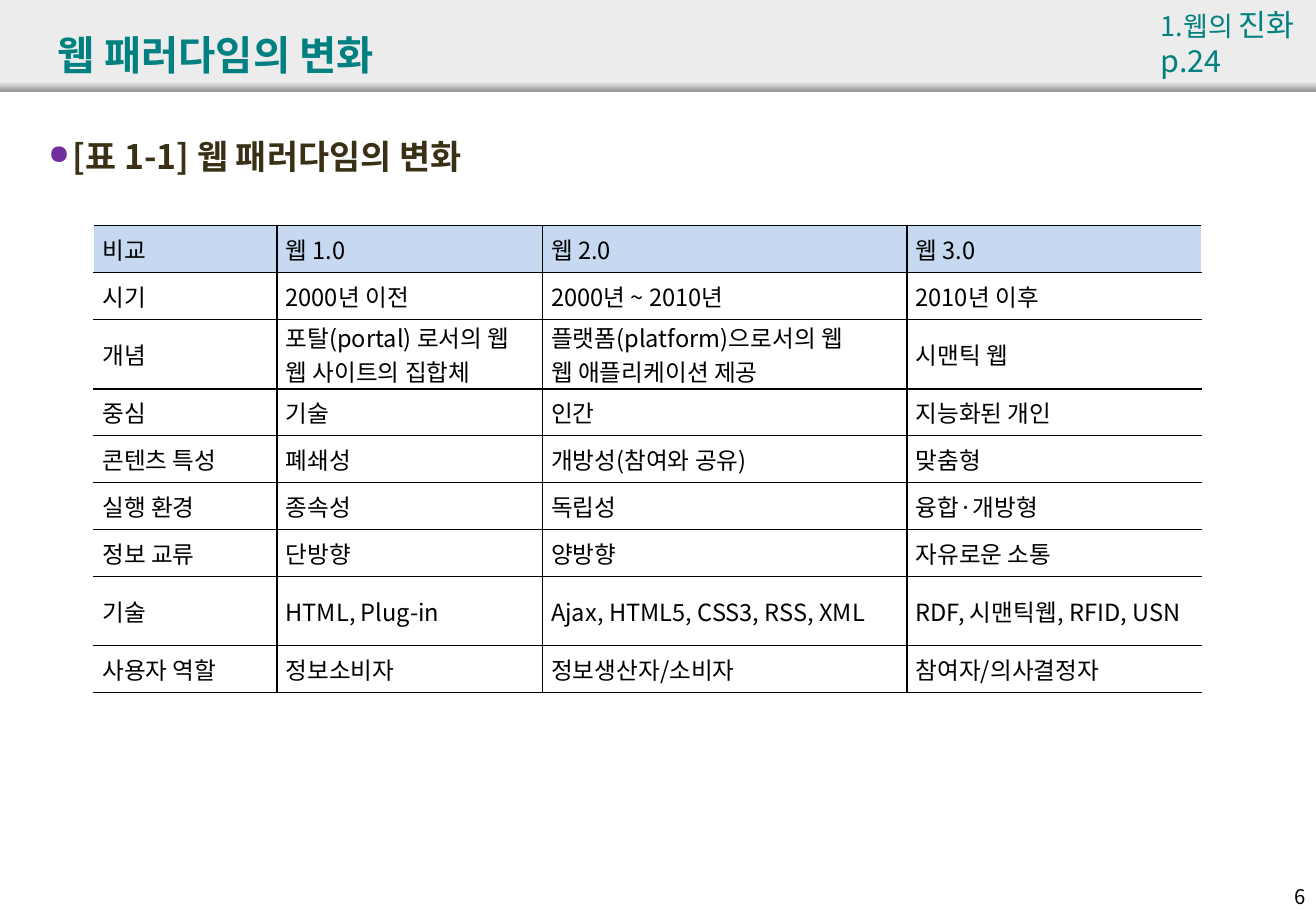
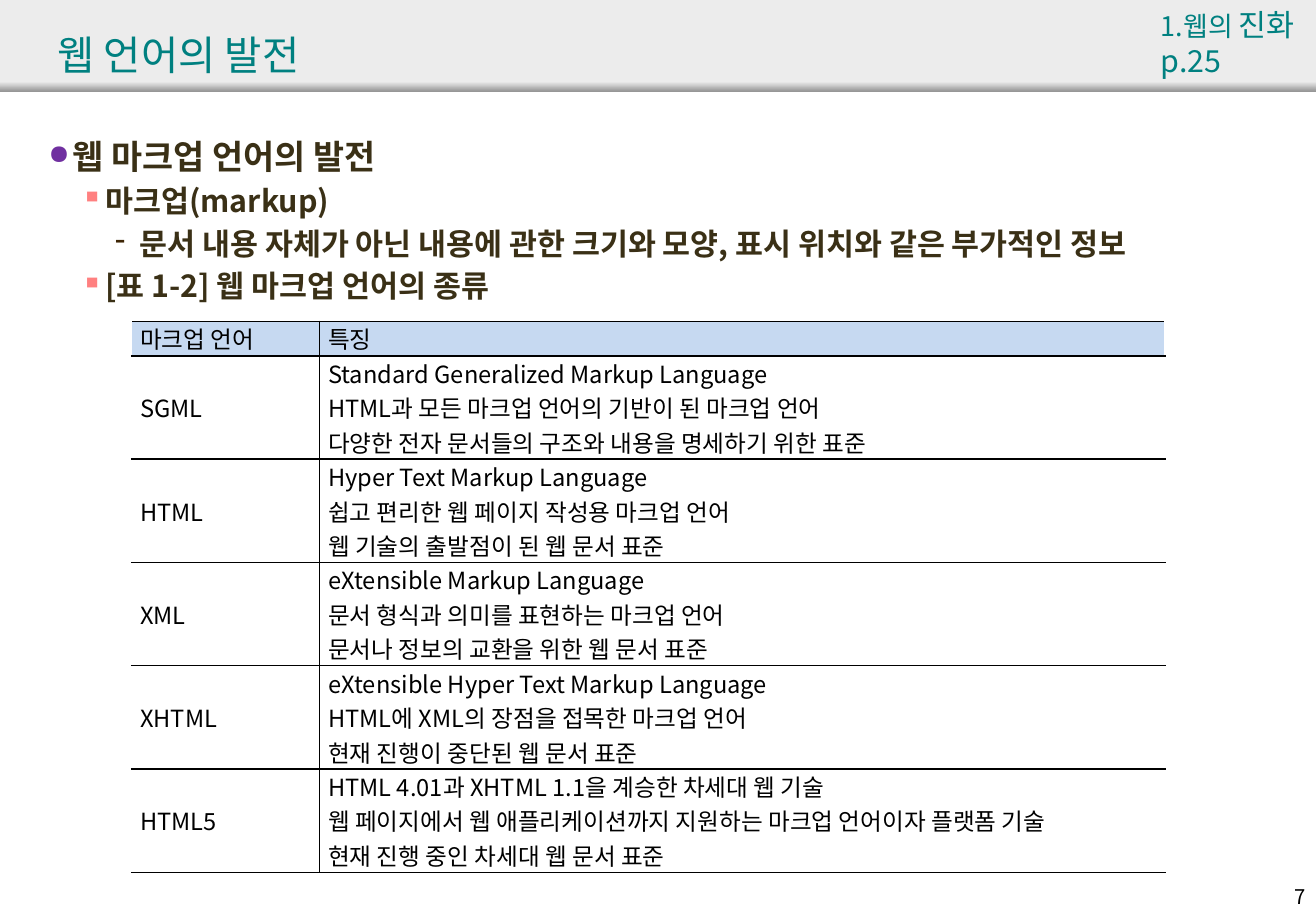
from collections import namedtuple
from dataclasses import dataclass

from lxml.etree import SubElement
from pptx import Presentation
from pptx.dml.color import RGBColor
from pptx.enum.shapes import MSO_SHAPE
from pptx.enum.text import MSO_ANCHOR, PP_ALIGN
from pptx.oxml import parse_xml
from pptx.oxml.ns import nsdecls, qn
from pptx.util import Cm, Pt

Box = namedtuple("Box", "left top width height")
Level = namedtuple("Level", "margin size bullet color scale")


@dataclass(frozen=True)
class Theme:
    font: str = "Noto Sans CJK KR"
    teal: str = "008080"
    brown: str = "3A3016"
    black: str = "000000"
    band: str = "ECECEC"
    band_edge: str = "979797"
    table_head: str = "C6D9F1"
    title_size: int = 24
    chapter_size: int = 16
    page_size: int = 18
    cell_size: int = 14
    number_size: int = 12
    levels: tuple = (
        Level(0.51, 20, "●", "7030A0", 80),
        Level(1.19, 18, "▪", "FF8080", 100),
        Level(1.91, 18, "-", "3D2505", 100),
    )


THEME = Theme()
PAGE = Box(0, 0, 27.51, 19.05)
BAND = Box(0, 0, PAGE.width, 1.91)
TITLE = Box(0.95, 0.33, 25.2, 1.6)
CHAPTER = Box(24.02, 0, 3.6, 1.8)
BODY = Box(0.76, 2.72, 26.21, 15.8)
NUMBER = Box(26.14, 18.36, 1.4, 0.76)

PARADIGM_ROWS = [
    ("비교", "웹 1.0", "웹 2.0", "웹 3.0"),
    ("시기", "2000년 이전", "2000년 ~ 2010년", "2010년 이후"),
    ("개념", "포탈(portal) 로서의 웹\n웹 사이트의 집합체",
     "플랫폼(platform)으로서의 웹\n웹 애플리케이션 제공", "시맨틱 웹"),
    ("중심", "기술", "인간", "지능화된 개인"),
    ("콘텐츠 특성", "폐쇄성", "개방성(참여와 공유)", "맞춤형"),
    ("실행 환경", "종속성", "독립성", "융합·개방형"),
    ("정보 교류", "단방향", "양방향", "자유로운 소통"),
    ("기술", "HTML, Plug-in", "Ajax, HTML5, CSS3, RSS, XML", "RDF, 시맨틱웹, RFID, USN"),
    ("사용자 역할", "정보소비자", "정보생산자/소비자", "참여자/의사결정자"),
]

LANGUAGE_ROWS = [
    ("마크업 언어", "특징"),
    ("SGML", "Standard Generalized Markup Language\n"
             "HTML과 모든 마크업 언어의 기반이 된 마크업 언어\n"
             "다양한 전자 문서들의 구조와 내용을 명세하기 위한 표준"),
    ("HTML", "Hyper Text Markup Language\n"
             "쉽고 편리한 웹 페이지 작성용 마크업 언어\n"
             "웹 기술의 출발점이 된 웹 문서 표준"),
    ("XML", "eXtensible Markup Language\n"
            "문서 형식과 의미를 표현하는 마크업 언어\n"
            "문서나 정보의 교환을 위한 웹 문서 표준"),
    ("XHTML", "eXtensible Hyper Text Markup Language\n"
              "HTML에 XML의 장점을 접목한 마크업 언어\n"
              "현재 진행이 중단된 웹 문서 표준"),
    ("HTML5", "HTML 4.01과 XHTML 1.1을 계승한 차세대 웹 기술\n"
              "웹 페이지에서 웹 애플리케이션까지 지원하는 마크업 언어이자 플랫폼 기술\n"
              "현재 진행 중인 차세대 웹 문서 표준"),
]


def rgb(color):
    return RGBColor.from_string(color)


def lengths(box):
    return [Cm(value) for value in box]


def style(paragraph, size, color, bold=False, align=PP_ALIGN.LEFT):
    paragraph.alignment = align
    font = paragraph.font
    font.size, font.bold, font.name = Pt(size), bold, THEME.font
    font.color.rgb = rgb(color)
    defaults = paragraph._p.pPr.find(qn("a:defRPr"))
    defaults.set("kern", "0")
    SubElement(defaults, qn("a:ea")).set("typeface", THEME.font)


def add_bullet(paragraph, level):
    properties = paragraph._p.get_or_add_pPr()
    properties.set("marL", str(Cm(level.margin)))
    properties.set("indent", str(-Cm(THEME.levels[0].margin)))
    defaults = properties.find(qn("a:defRPr"))
    for markup in (
        f'<a:buClr {nsdecls("a")}><a:srgbClr val="{level.color}"/></a:buClr>',
        f'<a:buSzPct {nsdecls("a")} val="{level.scale * 1000}"/>',
        f'<a:buChar {nsdecls("a")} char="{level.bullet}"/>',
    ):
        defaults.addprevious(parse_xml(markup))


def add_text_frame(slide, box):
    frame = slide.shapes.add_textbox(*lengths(box)).text_frame
    frame.word_wrap = True
    return frame


def add_band(slide, box):
    edge_height = 0.2
    edge_box = Box(box.left, box.top + box.height - edge_height, box.width, edge_height)
    band, edge = (
        slide.shapes.add_shape(MSO_SHAPE.RECTANGLE, *lengths(part)) for part in (box, edge_box)
    )
    for part in (band, edge):
        part.shadow.inherit = False
        part.line.fill.background()
    band.fill.solid()
    band.fill.fore_color.rgb = rgb(THEME.band)
    edge.fill.gradient()
    edge.fill.gradient_angle = 270
    for stop, color in zip(edge.fill.gradient_stops, (THEME.band, THEME.band_edge)):
        stop.color.rgb = rgb(color)


def place_title(slide, box, text, bold):
    title = slide.shapes.title
    slide.shapes._spTree.append(title._element)
    title.left, title.top, title.width, title.height = lengths(box)
    frame = title.text_frame
    frame.text = text
    frame.word_wrap = True
    frame.vertical_anchor = MSO_ANCHOR.MIDDLE
    style(frame.paragraphs[0], THEME.title_size, THEME.teal, bold)


def add_chapter(slide, box, page):
    frame = add_text_frame(slide, box)
    frame.margin_right = 0
    paragraph = frame.paragraphs[0]
    chapter = paragraph.add_run()
    chapter.text = "1.웹의 "
    chapter.font.size = Pt(THEME.chapter_size)
    paragraph.add_run().text = "진화"
    paragraph.add_line_break()
    paragraph.add_run().text = page
    style(paragraph, THEME.page_size, THEME.teal)


def add_number(slide, box, number):
    frame = add_text_frame(slide, box)
    frame.text = str(number)
    style(frame.paragraphs[0], THEME.number_size, THEME.black, align=PP_ALIGN.RIGHT)


def add_outline(slide, box, entries):
    frame = add_text_frame(slide, box)
    frame.text = "\n".join(text for _, text in entries)
    for paragraph, (depth, _) in zip(frame.paragraphs, entries):
        level = THEME.levels[depth]
        paragraph.level = depth
        paragraph.space_before = Pt(3.6)
        style(paragraph, level.size, THEME.brown, bold=True)
        add_bullet(paragraph, level)


def add_borders(cell, sides):
    properties = cell._tc.get_or_add_tcPr()
    for position, side in enumerate(sides):
        properties.insert(position, parse_xml(
            f'<a:ln{side} {nsdecls("a")} w="{Pt(1)}"><a:solidFill>'
            f'<a:srgbClr val="{THEME.black}"/></a:solidFill></a:ln{side}>'
        ))


def format_cell(cell, text, is_head, sides):
    cell.text = text
    cell.vertical_anchor = MSO_ANCHOR.MIDDLE
    cell.margin_left = cell.margin_right = Cm(0.18)
    cell.margin_top = cell.margin_bottom = 0
    if is_head:
        cell.fill.solid()
        cell.fill.fore_color.rgb = rgb(THEME.table_head)
    else:
        cell.fill.background()
    for paragraph in cell.text_frame.paragraphs:
        style(paragraph, THEME.cell_size, THEME.black, align=PP_ALIGN.JUSTIFY)
    add_borders(cell, sides)


def add_comparison(slide, left, top, widths, heights, rows):
    box = Box(left, top, sum(widths), sum(heights))
    table = slide.shapes.add_table(len(rows), len(widths), *lengths(box)).table
    table.first_row = table.horz_banding = False
    for column, width in zip(table.columns, widths):
        column.width = Cm(width)
    last = len(widths) - 1
    for r, (texts, height) in enumerate(zip(rows, heights)):
        table.rows[r].height = Cm(height)
        for c, text in enumerate(texts):
            sides = ["L"] * (c > 0) + ["R"] * (c < last) + ["T", "B"]
            format_cell(table.cell(r, c), text, r == 0, sides)


def add_lesson(deck, number, title, page, entries, bold=False):
    slide = deck.slides.add_slide(deck.slide_layouts[5])
    add_band(slide, BAND)
    place_title(slide, TITLE, title, bold)
    add_outline(slide, BODY, entries)
    add_chapter(slide, CHAPTER, page)
    add_number(slide, NUMBER, number)
    return slide


def add_paradigm_slide(deck):
    slide = add_lesson(deck, 6, "웹 패러다임의 변화", "p.24",
                       [(0, "[표 1-1] 웹 패러다임의 변화")], bold=True)
    heights = [1.45 if any("\n" in text for text in row) or row[0] == "기술" else 0.98
               for row in PARADIGM_ROWS]
    add_comparison(slide, 1.96, 4.72, [3.83, 5.55, 7.62, 6.16], heights, PARADIGM_ROWS)


def add_language_slide(deck):
    slide = add_lesson(deck, 7, "웹 언어의 발전", "p.25", [
        (0, "웹 마크업 언어의 발전"),
        (1, "마크업(markup)"),
        (2, "문서 내용 자체가 아닌 내용에 관한 크기와 모양, 표시 위치와 같은 부가적인 정보"),
        (1, "[표 1-2] 웹 마크업 언어의 종류"),
    ])
    heights = [0.72] + [2.16] * (len(LANGUAGE_ROWS) - 1)
    add_comparison(slide, 2.75, 6.72, [3.93, 17.67], heights, LANGUAGE_ROWS)


def main():
    deck = Presentation()
    deck.slide_width, deck.slide_height = Cm(PAGE.width), Cm(PAGE.height)
    add_paradigm_slide(deck)
    add_language_slide(deck)
    deck.save("out.pptx")


if __name__ == "__main__":
    main()
